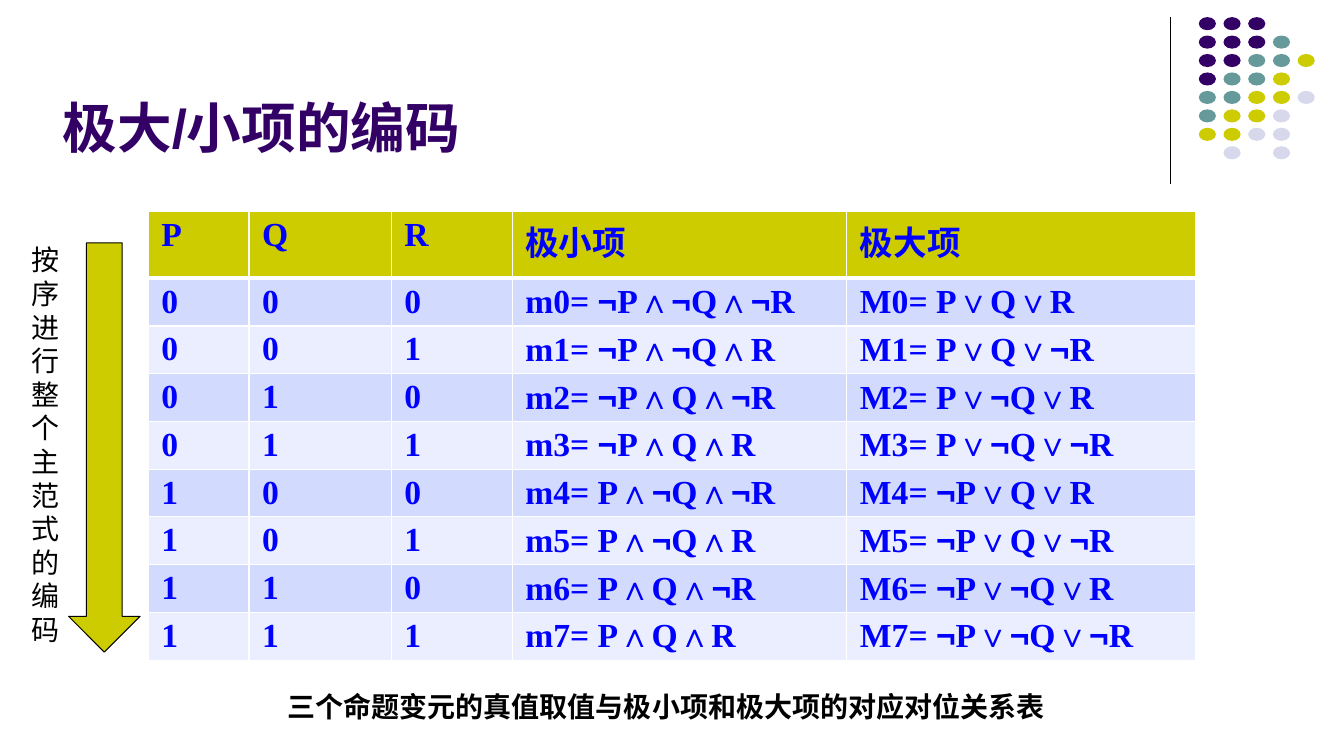
from dataclasses import dataclass
from itertools import groupby, product

from lxml import etree
from pptx import Presentation
from pptx.dml.color import RGBColor
from pptx.enum.shapes import MSO_CONNECTOR, MSO_SHAPE
from pptx.enum.text import MSO_ANCHOR, MSO_AUTO_SIZE, PP_ALIGN
from pptx.oxml import parse_xml
from pptx.oxml.ns import nsdecls, qn
from pptx.util import Inches, Pt

STRAIGHT = MSO_CONNECTOR.STRAIGHT
OVAL = MSO_SHAPE.OVAL
DOWN_ARROW = MSO_SHAPE.DOWN_ARROW
BOTTOM = MSO_ANCHOR.BOTTOM
LEFT = PP_ALIGN.LEFT
NO_AUTOFIT = MSO_AUTO_SIZE.NONE


@dataclass(frozen=True)
class Theme:
    purple: RGBColor = RGBColor.from_string("330066")
    teal: RGBColor = RGBColor.from_string("669999")
    olive: RGBColor = RGBColor.from_string("CCCC00")
    lavender: RGBColor = RGBColor.from_string("D8D8EC")
    blue: RGBColor = RGBColor.from_string("0000FF")
    band_dark: RGBColor = RGBColor.from_string("D2DBFE")
    band_light: RGBColor = RGBColor.from_string("EAEEFF")
    black: RGBColor = RGBColor.from_string("000000")
    title_size: Pt = Pt(39)
    table_size: Pt = Pt(24)
    label_size: Pt = Pt(20)
    thin: Pt = Pt(0.75)
    sans: str = "Arial"
    serif: str = "Times New Roman"
    chinese: str = "Noto Sans CJK SC"


theme = Theme()


def set_font(font, name, size, color, bold):
    font.name = name
    font.size = size
    font.color.rgb = color
    font.bold = bold


def add_label(box, text, font_name, bold):
    frame = box.text_frame
    frame.word_wrap = True
    paragraph = frame.paragraphs[0]
    paragraph.text = text
    set_font(paragraph.font, font_name, theme.label_size, theme.black, bold)


presentation = Presentation()
presentation.slide_width = Inches(13.33)
presentation.slide_height = Inches(7.5)
slide = presentation.slides.add_slide(presentation.slide_layouts[5])
shapes = slide.shapes

# Title
title = shapes.title
title.left, title.top = Inches(0.52), Inches(0.21)
title.width, title.height = Inches(8.25), Inches(1.42)
title.text_frame.text = "极大/小项的编码"
title.text_frame.vertical_anchor = BOTTOM
title.text_frame.auto_size = NO_AUTOFIT
paragraph = title.text_frame.paragraphs[0]
paragraph.alignment = LEFT
set_font(paragraph.font, theme.sans, theme.title_size, theme.purple, True)

# Corner rule and dot pattern
rule = shapes.add_connector(STRAIGHT, Inches(11.61), Inches(0.17), Inches(11.61), Inches(1.83))
rule.line.color.rgb = theme.black
rule.line.width = theme.thin
etree.SubElement(rule._element.spPr, qn("a:effectLst"))

dot_colors = {"P": theme.purple, "T": theme.teal, "O": theme.olive, "L": theme.lavender}
dot_rows = ["PPP", "PPPT", "PPTTO", "PTTO", "TTOOL", "TOOL", "OOLL", ".L.L"]
dots = shapes.add_group_shape()
for row, pattern in enumerate(dot_rows):
    for column, key in enumerate(pattern):
        if key in dot_colors:
            dot = dots.shapes.add_shape(
                OVAL, Inches(11.89 + 0.245 * column), Inches(0.17 + 0.183 * row),
                Inches(0.17), Inches(0.13))
            dot.shadow.inherit = False
            dot.fill.solid()
            dot.fill.fore_color.rgb = dot_colors[key]
            dot.line.fill.background()

# Table contents: every truth assignment with its minterm and maxterm
variables = "PQR"
table_rows = [[*variables, "极小项", "极大项"]]
for index, bits in enumerate(product((0, 1), repeat=len(variables))):
    pairs = list(zip(variables, bits))
    minterm = "∧".join(name if bit else "¬" + name for name, bit in pairs)
    maxterm = "∨".join("¬" + name if bit else name for name, bit in pairs)
    table_rows.append([*map(str, bits), f"m{index}= {minterm}", f"M{index}= {maxterm}"])

# Table
column_widths = [1, 1.41, 1.2, 3.32, 3.46]
row_heights = [0.66] + [0.41] * 8
table = shapes.add_table(
    len(table_rows), len(column_widths), Inches(1.47), Inches(2.1),
    Inches(sum(column_widths)), Inches(sum(row_heights))).table
for column, width in zip(table.columns, column_widths):
    column.width = Inches(width)
for row, height in zip(table.rows, row_heights):
    row.height = Inches(height)

for row, texts in enumerate(table_rows):
    if row == 0:
        fill_color = theme.olive
    else:
        fill_color = theme.band_dark if row % 2 else theme.band_light
    border_widths = {"L": 1, "R": 1, "T": 3 if row == 1 else 1, "B": 3 if row == 0 else 1}
    for column, text in enumerate(texts):
        cell = table.cell(row, column)
        cell.margin_left = cell.margin_right = Inches(0.13)
        cell.margin_top = cell.margin_bottom = Inches(0.05)
        properties = cell._tc.get_or_add_tcPr()
        for side, points in border_widths.items():
            properties.append(parse_xml(
                f'<a:ln{side} {nsdecls("a")} w="{Pt(points)}"><a:solidFill>'
                f'<a:srgbClr val="FFFFFF"/></a:solidFill></a:ln{side}>'))
        cell.fill.solid()
        cell.fill.fore_color.rgb = fill_color
        # Negation signs are set in the sans font
        for negation, letters in groupby(text, lambda letter: letter == "¬"):
            run = cell.text_frame.paragraphs[0].add_run()
            run.text = "".join(letters)
            font_name = theme.sans if negation else theme.serif
            set_font(run.font, font_name, theme.table_size, theme.blue, True)

# Caption
caption = shapes.add_textbox(Inches(2.69), Inches(6.79), Inches(7.95), Inches(0.44))
add_label(caption, "三个命题变元的真值取值与极小项和极大项的对应对位关系表", theme.chinese, True)
caption.text_frame.margin_left = Inches(0.16)

# Reading-order arrow and its label
arrow = shapes.add_shape(DOWN_ARROW, Inches(0.68), Inches(2.41), Inches(0.71), Inches(4.06))
arrow.shadow.inherit = False
arrow.fill.solid()
arrow.fill.fore_color.rgb = theme.olive
arrow.line.color.rgb = theme.black
arrow.line.width = theme.thin

order_label = shapes.add_textbox(Inches(0.21), Inches(2.36), Inches(0.63), Inches(4.14))
add_label(order_label, "按序进行整个主范式的编码", theme.sans, False)

presentation.save("out.pptx")
